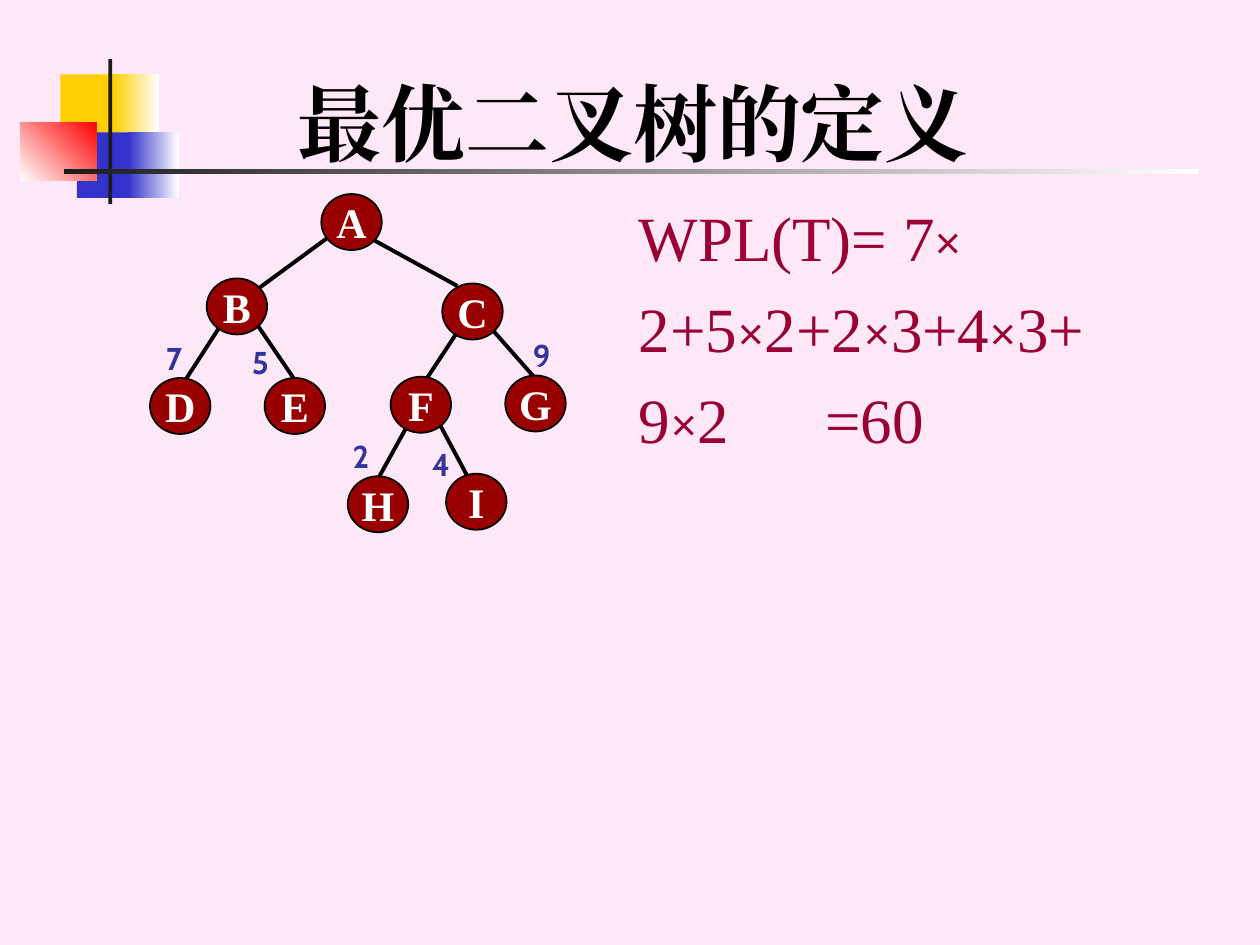
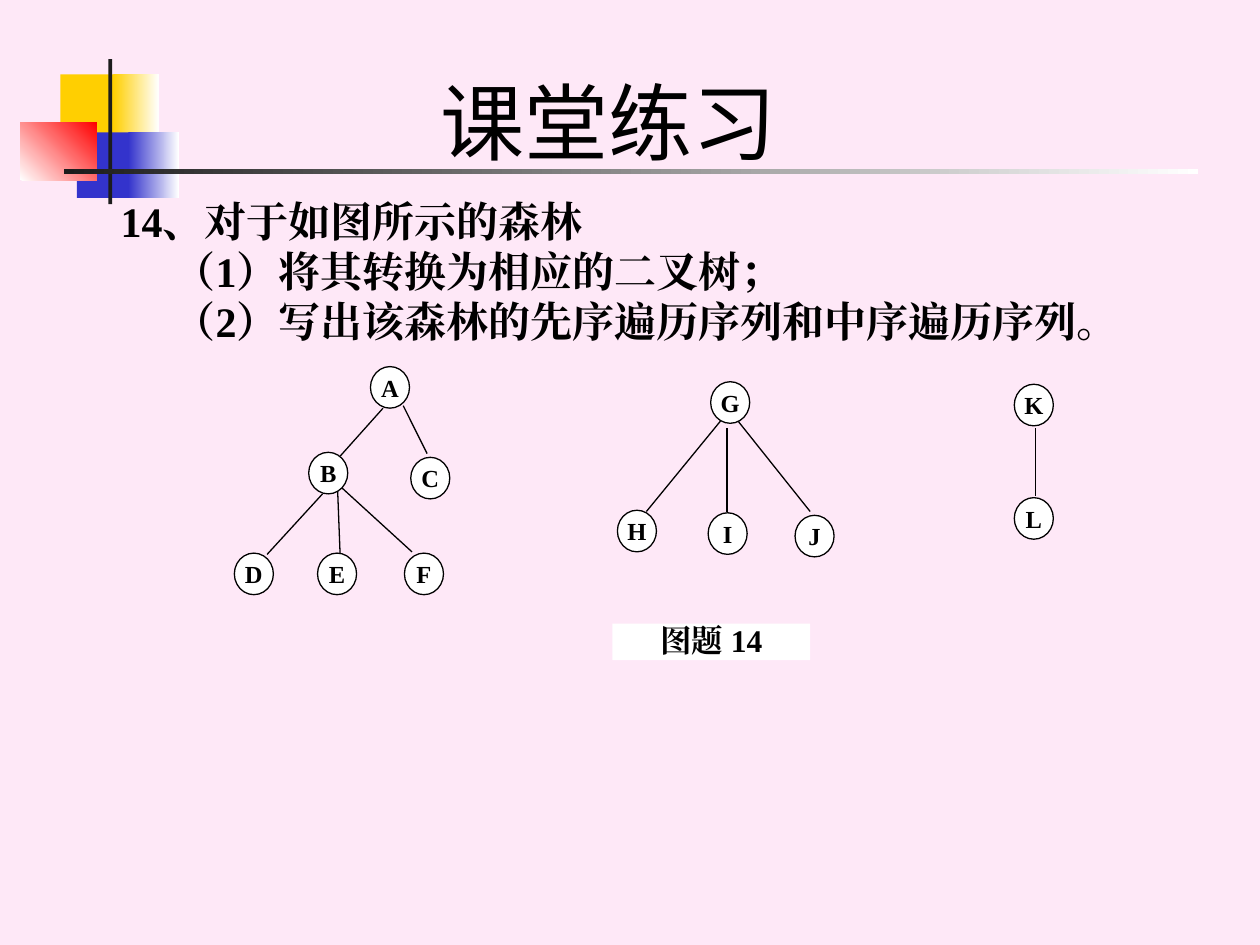
from lxml.etree import SubElement
from pptx import Presentation
from pptx.dml.color import RGBColor
from pptx.enum.shapes import MSO_CONNECTOR, MSO_SHAPE
from pptx.enum.text import MSO_ANCHOR, MSO_AUTO_SIZE, PP_ALIGN
from pptx.oxml.ns import qn
from pptx.util import Inches, Pt

SERIF, SANS = "Times New Roman", "Cabin"
BLACK, WHITE, CHARCOAL = "000000", "FFFFFF", "1C1C1C"
YELLOW, BLUE, RED = "FFCF01", "3333CC", "FF0000"
PINK, MAROON, CRIMSON, INDIGO = "FEE8F7", "990000", "990033", "333399"

deck = Presentation()
deck.slide_width, deck.slide_height = Inches(10), Inches(7.5)
COLUMN = deck.slide_width / 100
ROW = deck.slide_height / 75
color = RGBColor.from_string


def grid(*lengths):
    return [round(length * unit) for length, unit in zip(lengths, (COLUMN, ROW) * 2)]


def write(paragraph, text, size, font, hue, bold=False):
    run = paragraph.add_run()
    run.text = text
    run.font.size, run.font.name, run.font.bold = Pt(size), font, bold
    run.font.color.rgb = color(hue)
    SubElement(run.font._element, qn("a:ea"), typeface=font)


background = deck.slide_master.background.fill
background.solid()
background.fore_color.rgb = color(PINK)

ornaments = [
    ((4.8, 5.9, 4.8, 5.2), YELLOW, YELLOW, 0),
    ((9, 5.9, 3.6, 5.2), YELLOW, WHITE, 0),
    ((6.1, 10.5, 4.6, 5.2), BLUE, BLUE, 0),
    ((10.2, 10.5, 4, 5.2), BLUE, WHITE, 0),
    ((1.6, 9.7, 6.1, 4.6), WHITE, RED, 45),
    ((8.6, 4.7, 0.3, 11.5), CHARCOAL, CHARCOAL, 0),
    ((5.1, 13.4, 90, 0.4), CHARCOAL, WHITE, 0),
]
headings = [
    ("最优二叉树的定义", (6.1, 5.2, 88.3, 9), SERIF, True),
    ("课堂练习", (5.7, 5.1, 85.2, 9), SANS, False),
]
slides = []
for heading, area, font, bold in headings:
    slide = deck.slides.add_slide(deck.slide_layouts[5])
    slides.append(slide)
    for place, start, end, angle in ornaments:
        ornament = slide.shapes.add_shape(MSO_SHAPE.RECTANGLE, *grid(*place))
        ornament.shadow.inherit = False
        ornament.line.fill.background()
        if start == end:
            ornament.fill.solid()
            ornament.fill.fore_color.rgb = color(start)
        else:
            ornament.fill.gradient()
            ornament.fill.gradient_angle = angle
            for stop, hue, position in zip(ornament.fill.gradient_stops, (start, end), (0, 1)):
                stop.color.rgb = color(hue)
                stop.position = position
    title = slide.shapes.title
    title.left, title.top, title.width, title.height = grid(*area)
    title.text_frame.auto_size = MSO_AUTO_SIZE.NONE
    title.text_frame.vertical_anchor = MSO_ANCHOR.TOP
    title.text_frame.paragraphs[0].alignment = PP_ALIGN.CENTER
    write(title.text_frame.paragraphs[0], heading, 48, font, BLACK, bold)

definition, exercise = slides

weighted_nodes = {
    "A": (25.5, 15.4), "B": (16.4, 22.1), "C": (35.1, 22.5),
    "D": (11.9, 30), "E": (21, 30), "F": (31, 29.9), "G": (40.1, 29.8),
    "H": (27.6, 37.8), "I": (35.4, 37.6),
}
weighted_edges = [
    (29.2, 18.8, 36.3, 22.7), (26.1, 18.8, 20.1, 23.2),
    (32.6, 33.3, 30, 38), (34.7, 33.3, 37.1, 37.8),
    (17.4, 26, 14.3, 30.8), (20.5, 25.9, 23.7, 30.6),
    (36.6, 25.9, 33.5, 30.6), (39.1, 26.2, 42.9, 30.5),
]
forest_nodes = {
    "A": (29.4, 29.1), "B": (24.5, 35.9), "C": (32.6, 36.3),
    "D": (18.6, 43.9), "E": (25.2, 43.9), "F": (32.1, 43.9),
    "G": (56.4, 30.3), "H": (49, 40.5), "I": (56.2, 40.7), "J": (63.1, 40.9),
    "K": (80.5, 30.5), "L": (80.5, 39.5),
}
forest_edges = [
    (30.4, 32.4, 27, 36.2), (32, 32.2, 33.9, 36),
    (25.6, 39.2, 21.2, 44), (26.8, 39, 27, 44.2), (27, 38.6, 32.7, 43.8),
    (57.2, 33.4, 51.3, 40.6), (57.7, 34, 57.7, 40.6), (58.4, 33.2, 64.3, 40.6),
    (82.2, 34, 82.2, 39.4),
]
trees = [
    (definition, weighted_nodes, weighted_edges, (4.8, 4.45), MAROON, WHITE, 24, 1, 2.25),
    (exercise, forest_nodes, forest_edges, (3.1, 3.3), WHITE, BLACK, 14, 0.75, 0.75),
]
for slide, nodes, edges, node_size, fill, ink, letter_size, outline, edge_width in trees:
    for ends in edges:
        edge = slide.shapes.add_connector(MSO_CONNECTOR.STRAIGHT, *grid(*ends))
        edge.line.width = Pt(edge_width)
        edge.line.color.rgb = color(BLACK)
        SubElement(edge._element.spPr, qn("a:effectLst"))
    for letter, corner in nodes.items():
        node = slide.shapes.add_shape(MSO_SHAPE.OVAL, *grid(*corner, *node_size))
        node.shadow.inherit = False
        node.fill.solid()
        node.fill.fore_color.rgb = color(fill)
        node.line.width = Pt(outline)
        node.line.color.rgb = color(BLACK)
        label = node.text_frame
        label.margin_left = label.margin_top = label.margin_right = label.margin_bottom = 0
        label.word_wrap = False
        label.vertical_anchor = MSO_ANCHOR.MIDDLE
        label.paragraphs[0].alignment = PP_ALIGN.CENTER
        write(label.paragraphs[0], letter, letter_size, SERIF, ink, True)

weights = [("7", 12.2, 26.4), ("5", 19, 26.7), ("2", 27, 34.2), ("4", 33.3, 34.8), ("9", 41.3, 26.2)]
for weight, left, top in weights:
    weight_frame = definition.shapes.add_textbox(*grid(left, top, 3.9, 4)).text_frame
    weight_frame.word_wrap = True
    weight_frame.paragraphs[0].space_before = Pt(11.2)
    write(weight_frame.paragraphs[0], weight, 18, SANS, INDIGO, True)

path_length_frame = definition.shapes.add_textbox(*grid(49.7, 14.1, 38.1, 22.6)).text_frame
path_length_frame.word_wrap = True
formula = path_length_frame.paragraphs[0]
formula.line_spacing = 1.2
formula.space_before = Pt(22.5)
formula_tabs = SubElement(formula._p.get_or_add_pPr(), qn("a:tabLst"))
SubElement(formula_tabs, qn("a:tab"), pos=str(round(14.8 * COLUMN)), algn="l")
for term, font in [
    ("WPL(T)= 7", SERIF), ("× ", SANS), ("2+5", SERIF), ("×", SANS), ("2+2", SERIF), ("×", SANS),
    ("3+4", SERIF), ("×", SANS), ("3+9", SERIF), ("×", SANS), ("2\t=60", SERIF),
]:
    write(formula, term, 36, font, CRIMSON)

question_frame = exercise.shapes.add_textbox(*grid(8.6, 15, 83.9, 13)).text_frame
question_frame.word_wrap = True
question = question_frame.paragraphs[0]
question.alignment = PP_ALIGN.JUSTIFY
question.space_before = Pt(15)
write(question, "14、对于如图所示的森林", 24, SERIF, BLACK, True)
for task in ("（1）将其转换为相应的二叉树；", "（2）写出该森林的先序遍历序列和中序遍历序列。"):
    part = question_frame.add_paragraph()
    part.alignment = PP_ALIGN.JUSTIFY
    part._p.get_or_add_pPr().set("marL", str(round(4.2 * COLUMN)))
    write(part, task, 24, SERIF, BLACK, True)

caption = exercise.shapes.add_shape(MSO_SHAPE.RECTANGLE, *grid(48.6, 49.5, 15.7, 2.9))
caption.shadow.inherit = False
caption.fill.solid()
caption.fill.fore_color.rgb = color(WHITE)
caption.line.fill.background()
caption_frame = caption.text_frame
caption_frame.margin_left = caption_frame.margin_top = 0
caption_frame.margin_right = caption_frame.margin_bottom = 0
caption_frame.vertical_anchor = MSO_ANCHOR.TOP
caption_frame.paragraphs[0].alignment = PP_ALIGN.CENTER
caption_frame.paragraphs[0].line_spacing = 0.96
write(caption_frame.paragraphs[0], "图题 14", 18, SERIF, BLACK, True)

deck.save("out.pptx")
